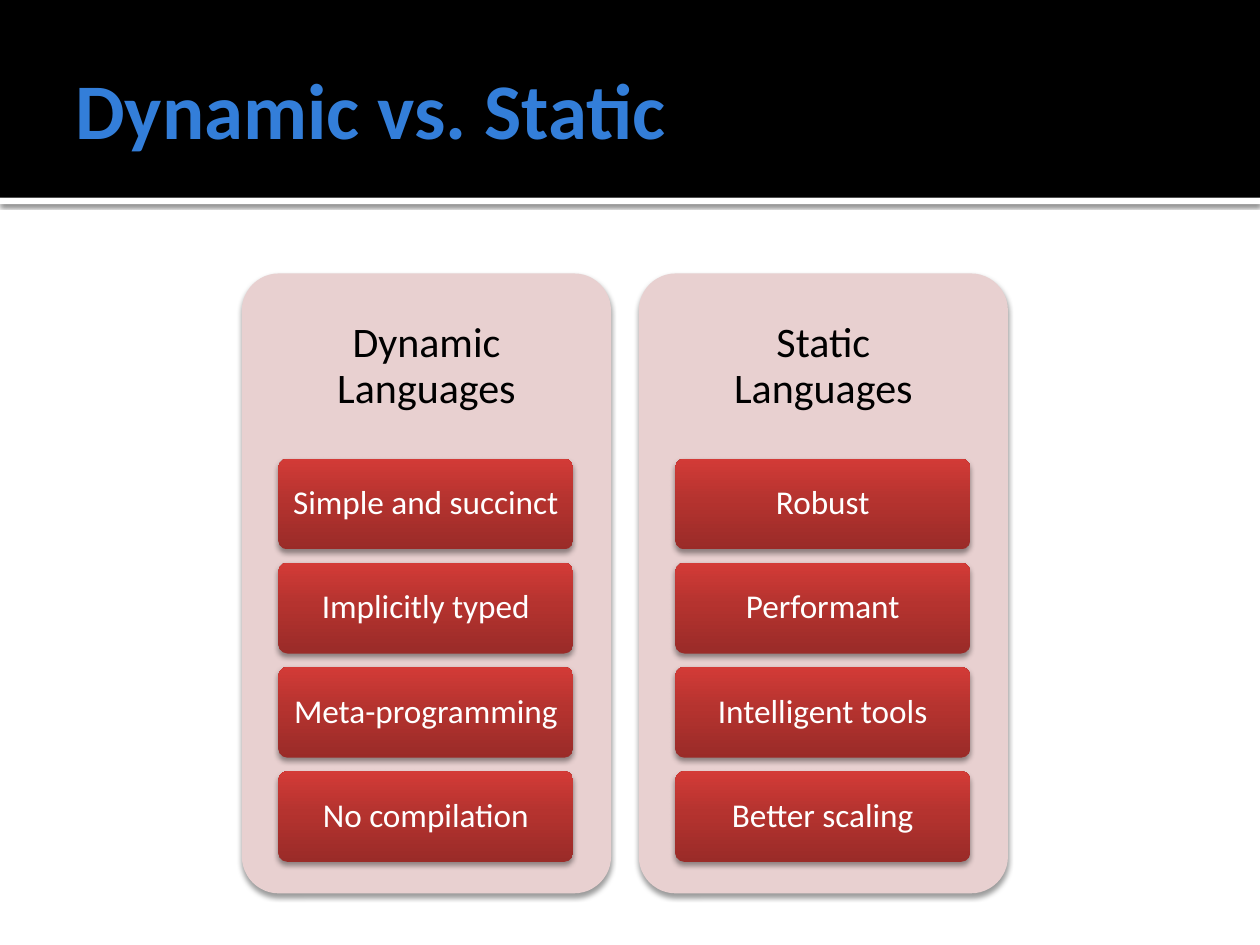
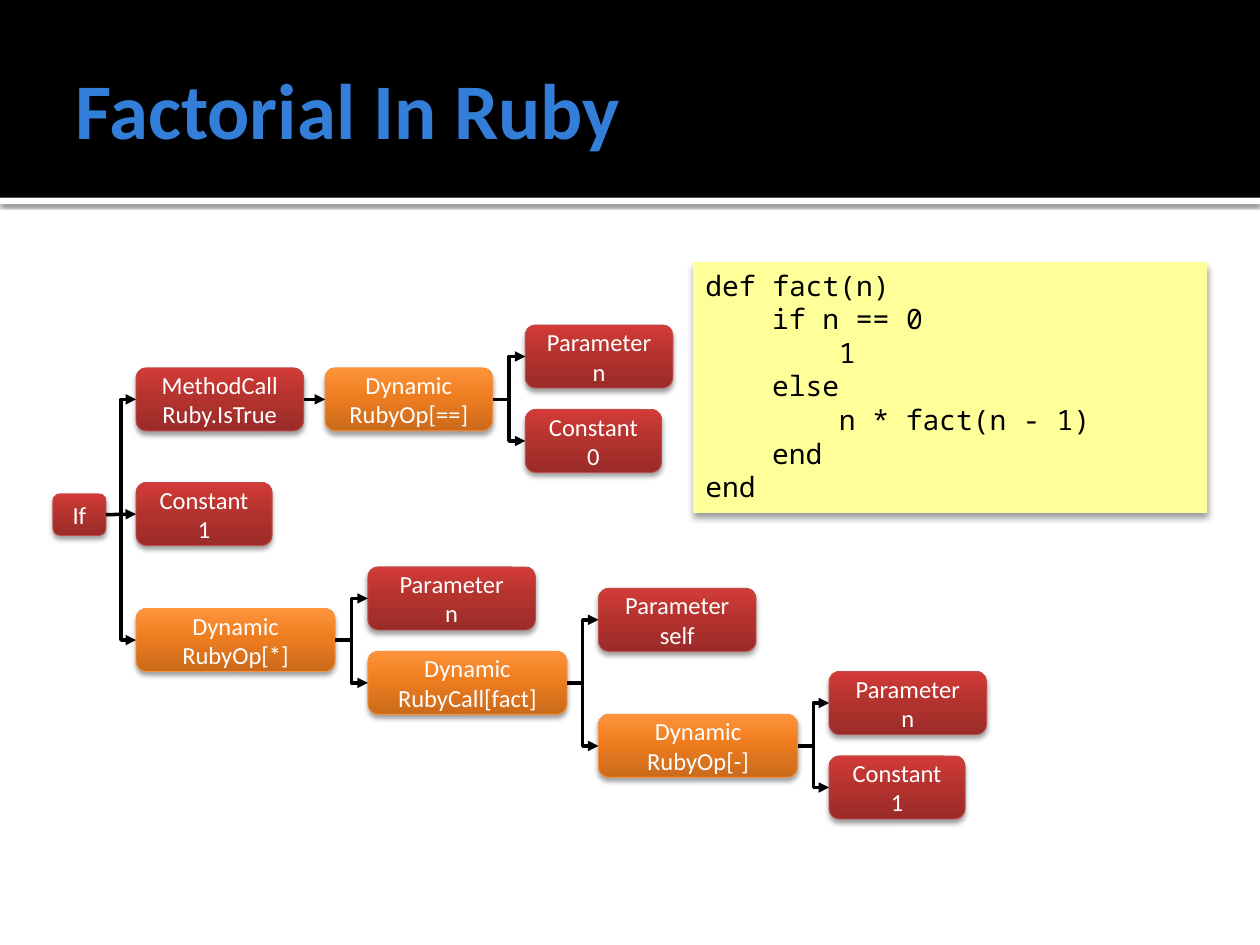
from copy import deepcopy

from lxml import etree
from pptx import Presentation
from pptx import util as u
from pptx.dml.color import RGBColor
from pptx.enum import shapes, text
from pptx.oxml import ns

BODY_FONT = "Calibri"
CODE_FONT = "Noto Sans Mono"
BLACK, WHITE = "000000", "FFFFFF"
TITLE_BLUE = "337ED9"
PANEL_PINK = "E8D0D0"
NOTE_YELLOW = "FFFF99"

# Gradient colours from the bottom edge to the top edge
RED = ("9A2B28", "B5332F", "D33B37")
ORANGE = ("CA6A1B", "EE7D20", "FF943B")
GRADIENT_POSITIONS = (0, 0.55, 1)
OUTLINES = {RED: "BF4C48", ORANGE: "F69240"}

# Shadows: opacity in percent, blur and distance in points
BAND_SHADOW = (60, 2.5, 0.8)
BOX_SHADOW = (38, 3.1, 2)
NOTE_SHADOW = (40, 4, 3)

RECT = shapes.MSO_SHAPE.RECTANGLE
ROUNDED = shapes.MSO_SHAPE.ROUNDED_RECTANGLE
LEFT_SITE, RIGHT_SITE = 1, 3

COLUMNS = [
    ("Dynamic\vLanguages",
     ["Simple and succinct", "Implicitly typed", "Meta-programming", "No compilation"]),
    ("Static\vLanguages",
     ["Robust", "Performant", "Intelligent tools", "Better scaling"]),
]

# Code lines with their indent level
CODE = [
    (0, "def fact(n)"),
    (1, "if n == 0"),
    (2, "1"),
    (1, "else"),
    (2, "n * fact(n - 1)"),
    (1, "end"),
    (0, "end"),
]
CODE_INDENT = 0.53

# Node name: label, left, top, width, height, colours
NODES = {
    "if": ("If", 0.42, 3.92, 0.42, 0.33, RED),
    "test": ("MethodCall\nRuby.IsTrue", 1.08, 2.92, 1.33, 0.5, RED),
    "equals": ("Dynamic\nRubyOp[==]", 2.58, 2.92, 1.33, 0.5, ORANGE),
    "equals n": ("Parameter\nn", 4.17, 2.58, 1.17, 0.5, RED),
    "equals 0": ("Constant\n0", 4.17, 3.25, 1.08, 0.5, RED),
    "base case": ("Constant\n1", 1.08, 3.83, 1.08, 0.5, RED),
    "times": ("Dynamic\nRubyOp[*]", 1.08, 4.83, 1.58, 0.5, ORANGE),
    "times n": ("Parameter\nn", 2.92, 4.5, 1.33, 0.5, RED),
    "call": ("Dynamic\nRubyCall[fact]", 2.92, 5.17, 1.58, 0.5, ORANGE),
    "call self": ("Parameter\nself", 4.75, 4.67, 1.25, 0.5, RED),
    "minus": ("Dynamic\nRubyOp[-]", 4.75, 5.67, 1.58, 0.5, ORANGE),
    "minus n": ("Parameter\nn", 6.58, 5.33, 1.25, 0.5, RED),
    "minus 1": ("Constant\n1", 6.58, 6, 1.08, 0.5, RED),
}
CHILDREN = {
    "if": ["test", "base case", "times"],
    "test": ["equals"],
    "equals": ["equals n", "equals 0"],
    "times": ["times n", "call"],
    "call": ["call self", "minus"],
    "minus": ["minus n", "minus 1"],
}


def rgb(value):
    return RGBColor.from_string(value)


def inches(*lengths):
    return [u.Inches(length) for length in lengths]


def fill_gradient(shape, colours):
    """Fill with three colours running from bottom to top."""
    shape.fill.gradient()
    shape.fill.gradient_angle = 90
    stop_list = shape.element.spPr.find(".//" + ns.qn("a:gsLst"))
    stop_list.insert(1, deepcopy(stop_list[0]))
    for stop, position, colour in zip(shape.fill.gradient_stops, GRADIENT_POSITIONS, colours):
        stop.position = position
        stop.color.rgb = rgb(colour)


def add_shadow(shape, opacity, blur, distance):
    """Drop a black shadow straight down."""
    effects = shape.element.spPr.find(ns.qn("a:effectLst"))
    shadow = etree.SubElement(
        effects, ns.qn("a:outerShdw"), blurRad=str(u.Pt(blur)), dist=str(u.Pt(distance)),
        dir="5400000", algn="ctr", rotWithShape="0")
    colour = etree.SubElement(shadow, ns.qn("a:srgbClr"), val=BLACK)
    etree.SubElement(colour, ns.qn("a:alpha"), val=str(opacity * 1000))


def add_box(page, kind, place, fill, shadow=None, outline=None):
    """Add a preset shape; fill is one colour or a tuple of gradient colours."""
    box = page.shapes.add_shape(kind, *inches(*place))
    box.shadow.inherit = False
    if isinstance(fill, tuple):
        fill_gradient(box, fill)
    else:
        box.fill.solid()
        box.fill.fore_color.rgb = rgb(fill)
    if outline:
        box.line.color.rgb = rgb(outline)
        box.line.width = u.Pt(0.5)
    else:
        box.line.fill.background()
    if shadow:
        add_shadow(box, *shadow)
    return box


def write(box, words, size, colour, font=BODY_FONT, bold=False, align=text.PP_ALIGN.CENTER,
          anchor=text.MSO_ANCHOR.MIDDLE, insets=(0.1, 0.05, 0.1, 0.05), spacing=None):
    frame = box.text_frame
    frame.word_wrap = True
    frame.vertical_anchor = anchor
    (frame.margin_left, frame.margin_top,
     frame.margin_right, frame.margin_bottom) = inches(*insets)
    frame.text = words
    for para in frame.paragraphs:
        para.alignment = align
        para.line_spacing = spacing
        for span in para.runs:
            span.font.name = font
            span.font.size = u.Pt(size)
            span.font.bold = bold
            span.font.color.rgb = rgb(colour)


def add_page(deck, title):
    """Add a slide with the black title band, its white rule and the title."""
    page = deck.slides.add_slide(deck.slide_layouts[6])
    add_box(page, RECT, (0, 1.57, 10, 0.05), WHITE, BAND_SHADOW)
    add_box(page, RECT, (0, 0, 10, 1.57), BLACK)
    box = page.shapes.add_textbox(*inches(0.5, 0.17, 9, 1.37))
    write(box, title, 45, TITLE_BLUE, bold=True, align=text.PP_ALIGN.LEFT,
          insets=(0.1, 0.05, 0.05, 0.05))
    return page


def add_column(page, left, heading, items):
    """Add a pink panel with a heading above a stack of red items."""
    top, width, first_item, item_step = 2.17, 2.93, 3.64, 2.48 / 3
    panel = add_box(page, ROUNDED, (left, top, width, 4.92), PANEL_PINK, BOX_SHADOW)
    panel.adjustments[0] = 0.1
    heading_box = page.shapes.add_textbox(*inches(left, top, width, 1.48))
    write(heading_box, heading, 24, BLACK, insets=(0.1,) * 4, spacing=0.9)
    for row, item in enumerate(items):
        place = (left + 0.29, first_item + row * item_step, 2.34, 0.72)
        box = add_box(page, ROUNDED, place, RED, BOX_SHADOW)
        box.adjustments[0] = 0.1
        write(box, item, 19, WHITE, insets=(0.05, 0.04, 0.05, 0.04), spacing=0.9)


def add_code(page):
    note = add_box(page, RECT, (5.5, 2.08, 4.08, 1.99), NOTE_YELLOW, NOTE_SHADOW)
    write(note, "\n".join(line for _, line in CODE), 16, BLACK, CODE_FONT,
          align=text.PP_ALIGN.LEFT, anchor=text.MSO_ANCHOR.TOP)
    for para, (level, _) in zip(note.text_frame.paragraphs, CODE):
        properties = para._p.get_or_add_pPr()
        properties.set("marL", str(u.Inches(level * CODE_INDENT)))
        properties.set("indent", "0")


def add_node(page, label, left, top, width, height, colours):
    node = add_box(page, ROUNDED, (left, top, width, height), colours, BOX_SHADOW,
                   OUTLINES[colours])
    write(node, label, 14, WHITE)
    return node


def add_arrow(page, parent, child):
    """Join two nodes, with a bend unless their middles are level."""
    rise = abs(parent.top + parent.height / 2 - child.top - child.height / 2)
    kinds = shapes.MSO_CONNECTOR
    kind = kinds.STRAIGHT if rise < u.Inches(0.02) else kinds.ELBOW
    arrow = page.shapes.add_connector(kind, 0, 0, 0, 0)
    arrow.begin_connect(parent, RIGHT_SITE)
    arrow.end_connect(child, LEFT_SITE)
    arrow.line.color.rgb = rgb(BLACK)
    arrow.line.width = u.Pt(2)
    etree.SubElement(arrow.line._get_or_add_ln(), ns.qn("a:tailEnd"), type="triangle")
    etree.SubElement(arrow.element.spPr, ns.qn("a:effectLst"))


def add_tree(page):
    nodes = {name: add_node(page, *details) for name, details in NODES.items()}
    for parent, children in CHILDREN.items():
        for child in children:
            add_arrow(page, nodes[parent], nodes[child])


def main():
    deck = Presentation()
    deck.slide_width, deck.slide_height = inches(10, 7.5)

    comparison = add_page(deck, "Dynamic vs. Static")
    for number, (heading, items) in enumerate(COLUMNS):
        add_column(comparison, 1.92 + number * 3.15, heading, items)

    factorial = add_page(deck, "Factorial In Ruby")
    add_code(factorial)
    add_tree(factorial)

    deck.save("out.pptx")


if __name__ == "__main__":
    main()
